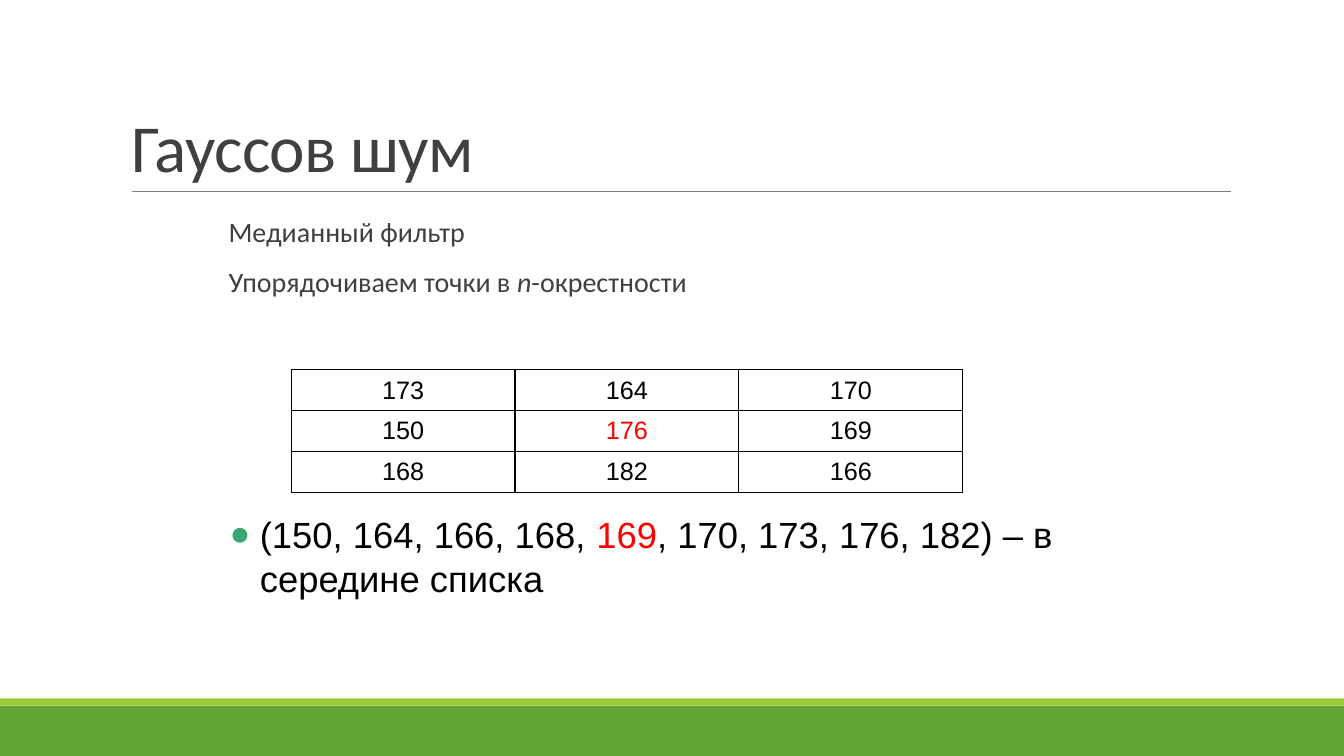
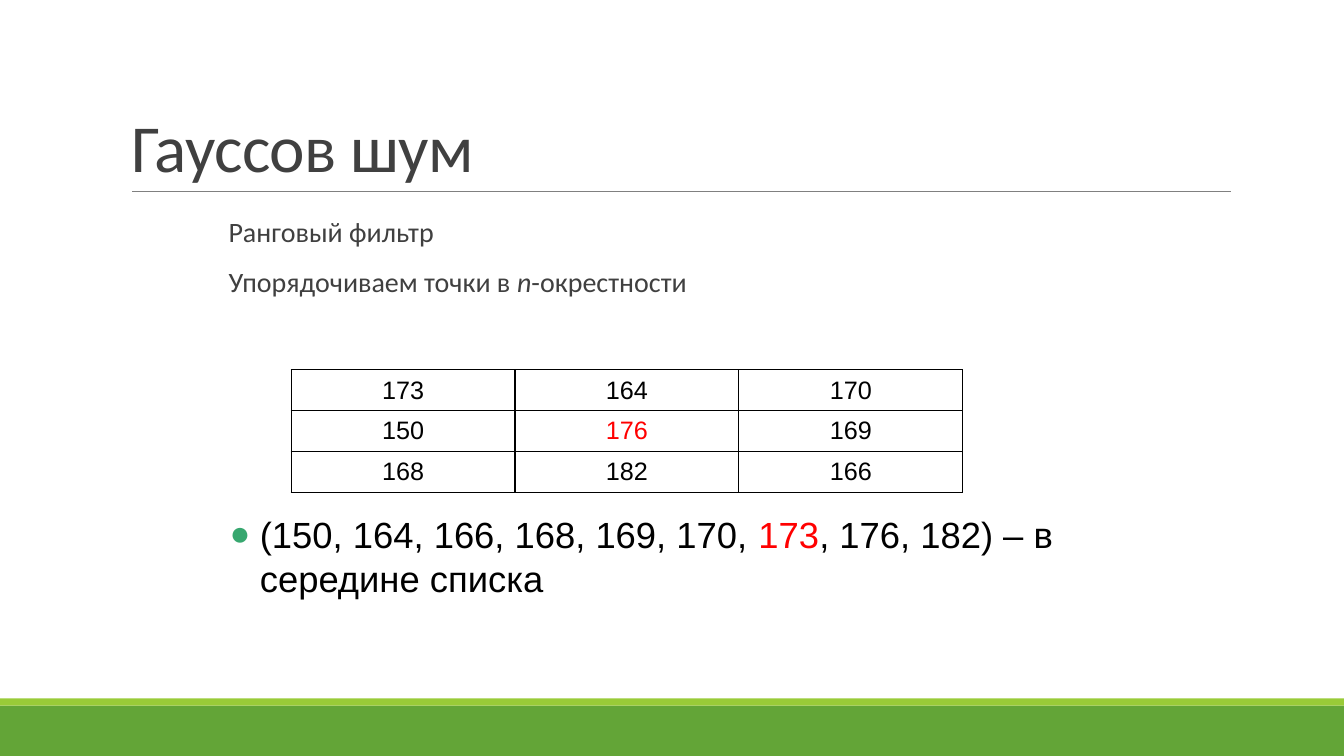
from dataclasses import dataclass
from itertools import chain

from lxml.etree import SubElement
from pptx import Presentation
from pptx.dml.color import RGBColor
from pptx.enum.shapes import MSO_CONNECTOR as Connector, MSO_SHAPE as Preset
from pptx.enum.text import MSO_ANCHOR as Anchor, MSO_AUTO_SIZE as AutoSize, PP_ALIGN as Align
from pptx.oxml.ns import qn
from pptx.util import Cm, Pt

SLIDE_WIDTH, SLIDE_HEIGHT = Cm(33.87), Cm(19.05)
TITLE_ONLY = 5
NEIGHBOURHOOD = [[173, 164, 170], [150, 176, 169], [168, 182, 166]]


@dataclass(frozen=True)
class Theme:
    band: str = "63A537"
    stripe: str = "99CB38"
    rule: str = "808080"
    heading: str = "404040"
    text: str = "000000"
    accent: str = "FF0000"
    bullet: str = "37A76F"
    heading_font: str = "Calibri"
    text_font: str = "Arial"
    title_size: int = 48
    body_size: int = 20
    cell_size: int = 18
    list_size: int = 26


def add_run(paragraph, text, *, font, size, color, italic=False, tracking=None):
    """Append formatted text; tracking is in hundredths of a point."""
    run = paragraph.add_run()
    run.text = text
    run.font.name = font
    run.font.size = Pt(size)
    run.font.color.rgb = RGBColor.from_string(color)
    run.font.italic = italic
    if tracking is not None:
        run._r.get_or_add_rPr().set("spc", str(tracking))


def set_bullet(paragraph, symbol, color, percent, indent):
    properties = paragraph._p.get_or_add_pPr()
    properties.set("marL", str(indent))
    properties.set("indent", str(-indent))
    bullet_color = SubElement(properties, qn("a:buClr"))
    SubElement(bullet_color, qn("a:srgbClr"), val=color)
    SubElement(properties, qn("a:buSzPct"), val=str(percent * 1000))
    SubElement(properties, qn("a:buFont"), typeface="Arial")
    SubElement(properties, qn("a:buChar"), char=symbol)


def set_borders(cell, color, width):
    properties = cell._tc.get_or_add_tcPr()
    for side in ("lnL", "lnR", "lnT", "lnB"):
        line = SubElement(properties, qn(f"a:{side}"), w=str(width))
        fill = SubElement(line, qn("a:solidFill"))
        SubElement(fill, qn("a:srgbClr"), val=color)


class Deck:
    def __init__(self, theme):
        self.theme = theme
        self.presentation = Presentation()
        self.presentation.slide_width = SLIDE_WIDTH
        self.presentation.slide_height = SLIDE_HEIGHT
        self.slide = None

    def new_slide(self, title):
        layout = self.presentation.slide_layouts[TITLE_ONLY]
        self.slide = self.presentation.slides.add_slide(layout)
        self.add_band(Cm(17.78), Cm(1.27), self.theme.band)
        self.add_band(Cm(17.6), Cm(0.18), self.theme.stripe)
        self.add_rule(Cm(3.33), Cm(31.01), Cm(4.82))
        self.set_title(title)

    def add_band(self, top, height, color):
        band = self.slide.shapes.add_shape(Preset.RECTANGLE, 0, top, SLIDE_WIDTH, height)
        band.shadow.inherit = False
        band.fill.solid()
        band.fill.fore_color.rgb = RGBColor.from_string(color)
        band.line.fill.background()

    def add_rule(self, left, right, top):
        rule = self.slide.shapes.add_connector(Connector.STRAIGHT, left, top, right, top)
        rule.line.color.rgb = RGBColor.from_string(self.theme.rule)
        rule.line.width = Pt(0.5)
        SubElement(rule.element.spPr, qn("a:effectLst"))

    def set_title(self, text):
        title = self.slide.shapes.title
        title.left, title.top, title.width, title.height = Cm(3.05), Cm(0.79), Cm(27.94), Cm(4.04)
        frame = title.text_frame
        frame.auto_size = AutoSize.NONE
        frame.vertical_anchor = Anchor.BOTTOM
        paragraph = frame.paragraphs[0]
        paragraph.alignment = Align.LEFT
        paragraph.line_spacing = 0.85
        add_run(paragraph, text, font=self.theme.heading_font, size=self.theme.title_size,
                color=self.theme.heading, tracking=-50)

    def add_text_frame(self, left, top):
        box = self.slide.shapes.add_textbox(left, top, Cm(22.86), Cm(3.15))
        box.text_frame.word_wrap = True
        return box.text_frame

    def add_body(self, lines):
        """Each line is a list of (text, italic) pairs."""
        frame = self.add_text_frame(Cm(5.51), Cm(5.38))
        frame.margin_left = Cm(0.25)
        frame.margin_right = 0
        for index, line in enumerate(lines):
            paragraph = frame.add_paragraph() if index else frame.paragraphs[0]
            paragraph.line_spacing = 0.9
            paragraph.space_before = Pt(12)
            paragraph.space_after = Pt(2)
            for text, italic in line:
                add_run(paragraph, text, font=self.theme.heading_font,
                        size=self.theme.body_size, color=self.theme.heading, italic=italic)

    def add_grid(self, rows):
        """Draw a table of values with its centre highlighted."""
        row_count, column_count = len(rows), len(rows[0])
        table = self.slide.shapes.add_table(
            row_count, column_count, Cm(7.34), Cm(9.32),
            Cm(5.64) * column_count, Cm(1.03) * row_count).table
        table.first_row = table.horz_banding = False
        centre = (row_count // 2, column_count // 2)
        for row, values in enumerate(rows):
            for column, value in enumerate(values):
                cell = table.cell(row, column)
                set_borders(cell, self.theme.text, Pt(1))
                cell.fill.background()
                cell.vertical_anchor = Anchor.MIDDLE
                paragraph = cell.text_frame.paragraphs[0]
                paragraph.alignment = Align.CENTER
                color = self.theme.accent if (row, column) == centre else self.theme.text
                add_run(paragraph, str(value), font=self.theme.text_font,
                        size=self.theme.cell_size, color=color)

    def add_ranking(self, values, rank, ending):
        """List the values in order, with the one at the given rank highlighted."""
        paragraph = self.add_text_frame(Cm(5.54), Cm(12.78)).paragraphs[0]
        set_bullet(paragraph, "●", self.theme.bullet, 95, Cm(0.76))
        ordered = [str(value) for value in sorted(values)]
        parts = [
            ("(" + "".join(f"{value}, " for value in ordered[:rank]), self.theme.text),
            (ordered[rank], self.theme.accent),
            ("".join(f", {value}" for value in ordered[rank + 1:]) + ending, self.theme.text),
        ]
        for text, color in parts:
            add_run(paragraph, text, font=self.theme.text_font,
                    size=self.theme.list_size, color=color)


def main():
    deck = Deck(Theme())
    ordering = [("Упорядочиваем точки в ", False), ("n", True), ("-окрестности", False)]
    for filter_name, rank in (("Медианный фильтр", 4), ("Ранговый фильтр", 6)):
        deck.new_slide("Гауссов шум")
        deck.add_body([[(filter_name, False)], ordering])
        deck.add_grid(NEIGHBOURHOOD)
        deck.add_ranking(chain.from_iterable(NEIGHBOURHOOD), rank, ") – в середине списка")
    deck.presentation.save("out.pptx")


if __name__ == "__main__":
    main()
